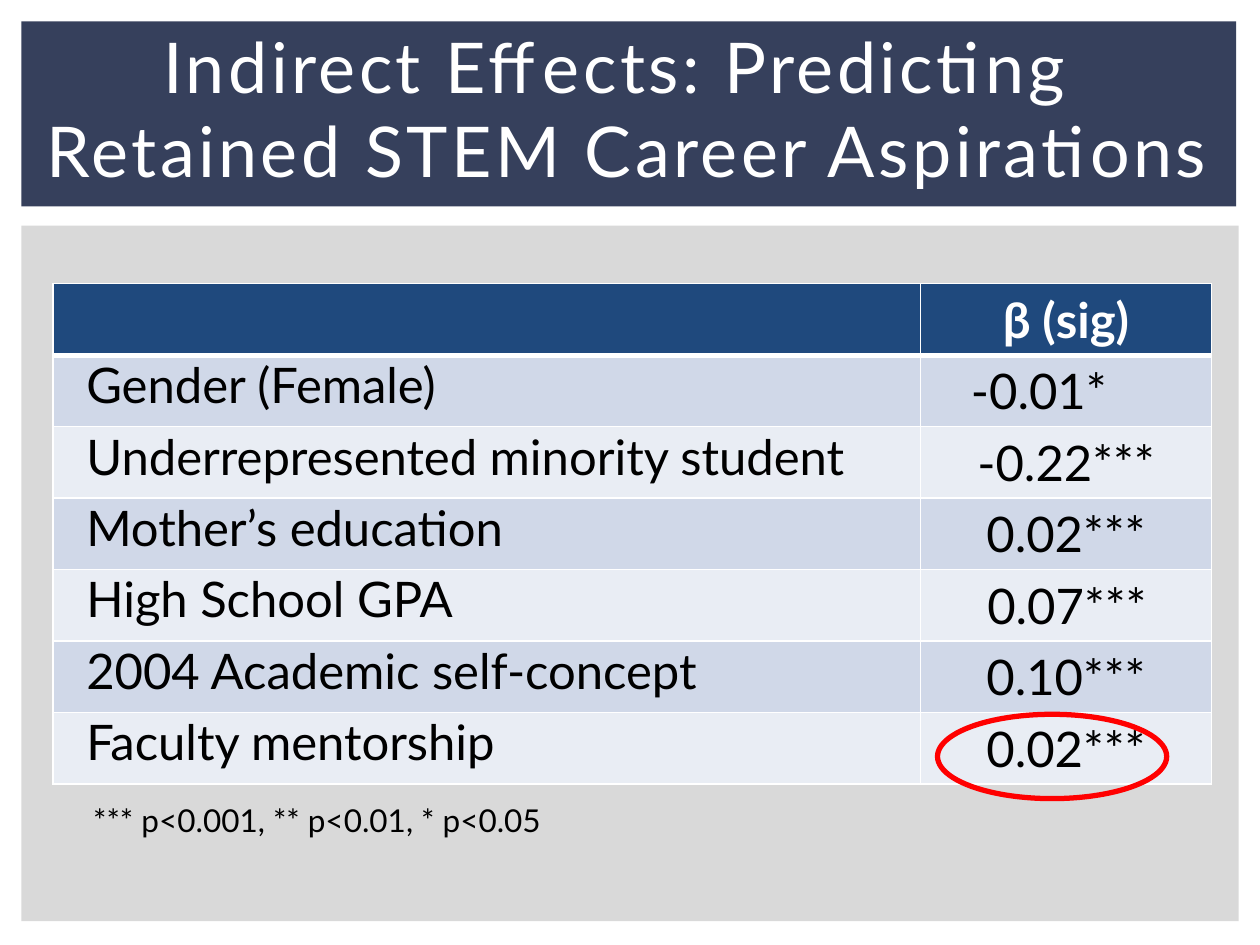
from pptx import Presentation
from pptx.dml.color import RGBColor
from pptx.enum.shapes import MSO_SHAPE
from pptx.enum.text import MSO_ANCHOR, MSO_AUTO_SIZE, PP_ALIGN
from pptx.oxml import parse_xml
from pptx.oxml.ns import nsdecls
from pptx.util import Cm, Pt

COLORS = {
    "white": "FFFFFF", "black": "000000", "panel": "D9D9D9", "banner": "36405C",
    "header": "1F497D", "band": "D0D8E8", "band_light": "E9EDF4", "ring": "FF0000",
}
FONT = "Lato"
ROW_HEIGHT = 1.44
COLUMN_WIDTHS = (17.49, 5.86)

# Label, value, left indent of the value in cm (None when centred)
EFFECTS = [
    ("Gender (Female)", "-0.01*", 0.76),
    ("Underrepresented minority student", "-0.22***", None),
    ("Mother’s education", "0.02***", None),
    ("High School GPA", "0.07***", 1.09),
    ("2004 Academic self-concept", "0.10***", None),
    ("Faculty mentorship", "0.02***", None),
]


def rgb(name):
    return RGBColor.from_string(COLORS[name])


def format_font(font, color, **values):
    for name, value in {"name": FONT, **values}.items():
        setattr(font, name, value)
    font.color.rgb = rgb(color)


def add_block(s, kind, box, fill=None, line=None):
    sp = s.shapes.add_shape(kind, *map(Cm, box))
    sp.shadow.inherit = False
    if fill:
        sp.fill.solid()
        sp.fill.fore_color.rgb = rgb(fill)
    else:
        sp.fill.background()
    if line:
        sp.line.color.rgb = rgb(line)
        sp.line.width = Pt(3)
    else:
        sp.line.fill.background()


def set_title(s, lines):
    sp = s.shapes.title
    sp.left, sp.top, sp.width, sp.height = map(Cm, (0.38, 0.43, 24.54, 3.48))
    tf = sp.text_frame
    tf.auto_size = MSO_AUTO_SIZE.NONE
    tf.vertical_anchor = MSO_ANCHOR.MIDDLE
    p = tf.paragraphs[0]
    p.text = "\v".join(lines)
    p.alignment = PP_ALIGN.CENTER
    for r in p.runs:
        format_font(r.font, "white", size=Pt(40))
        r.font._element.set("spc", "200")


def set_borders(cell, bottom):
    tcPr = cell._tc.get_or_add_tcPr()
    widths = {"lnL": 1, "lnR": 1, "lnT": 1, "lnB": bottom}
    for i, (side, width) in enumerate(widths.items()):
        tcPr.insert(i, parse_xml(
            f'<a:{side} {nsdecls("a")} w="{Pt(width)}"><a:solidFill>'
            f'<a:srgbClr val="{COLORS["white"]}"/></a:solidFill></a:{side}>'))


def fill_cell(cell, text, fill, color="black", indent=None, bold=False, bottom=1):
    cell.fill.solid()
    cell.fill.fore_color.rgb = rgb(fill)
    set_borders(cell, bottom)
    p = cell.text_frame.paragraphs[0]
    if indent is None:
        p.alignment = PP_ALIGN.CENTER
    else:
        p._p.get_or_add_pPr().set("marL", str(Cm(indent)))
    if text:
        r = p.add_run()
        r.text = text
        format_font(r.font, color, size=Pt(28), bold=bold)


def add_effects_table(s):
    rows = len(EFFECTS) + 1
    table = s.shapes.add_table(rows, 2, Cm(1.07), Cm(5.72), Cm(sum(COLUMN_WIDTHS)),
                               Cm(ROW_HEIGHT * rows)).table
    for column, width in zip(table.columns, COLUMN_WIDTHS):
        column.width = Cm(width)
    for row in table.rows:
        row.height = Cm(ROW_HEIGHT)

    # Header
    for i, text in enumerate(("", "β (sig)")):
        fill_cell(table.cell(0, i), text, "header", "white", bold=True, bottom=3)

    # Banded body
    for i, (label, value, indent) in enumerate(EFFECTS, 1):
        fill = "band" if i % 2 else "band_light"
        cell = table.cell(i, 0)
        cell.margin_left = cell.margin_right = Cm(0.19)
        cell.margin_top = cell.margin_bottom = 0
        fill_cell(cell, label, fill, indent=0.48)
        fill_cell(table.cell(i, 1), value, fill, indent=indent)


def add_note(s, text):
    tf = s.shapes.add_textbox(Cm(1.5), Cm(16.03), Cm(11.84), Cm(1.02)).text_frame
    tf.word_wrap = True
    tf.auto_size = MSO_AUTO_SIZE.SHAPE_TO_FIT_TEXT
    tf.margin_left = Cm(0.38)
    r = tf.paragraphs[0].add_run()
    r.text = text
    format_font(r.font, "black", size=Pt(18))


def main():
    prs = Presentation()
    prs.slide_width, prs.slide_height = Cm(25.4), Cm(19.05)
    s = prs.slides.add_slide(prs.slide_layouts[5])

    # Background panel and title banner
    add_block(s, MSO_SHAPE.RECTANGLE, (0.43, 4.55, 24.54, 14.02), fill="panel")
    add_block(s, MSO_SHAPE.RECTANGLE, (0.43, 0.43, 24.49, 3.73), fill="banner")
    s.shapes._spTree.append(s.shapes.title._element)  # title above the banner
    set_title(s, ("Indirect Effects: Predicting ", "Retained STEM Career Aspirations"))

    # Table, highlighted value and significance note
    add_effects_table(s)
    add_block(s, MSO_SHAPE.OVAL, (18.9, 14.4, 4.62, 1.7), line="ring")
    add_note(s, "*** p<0.001, ** p<0.01, * p<0.05")

    prs.save("out.pptx")


if __name__ == "__main__":
    main()
